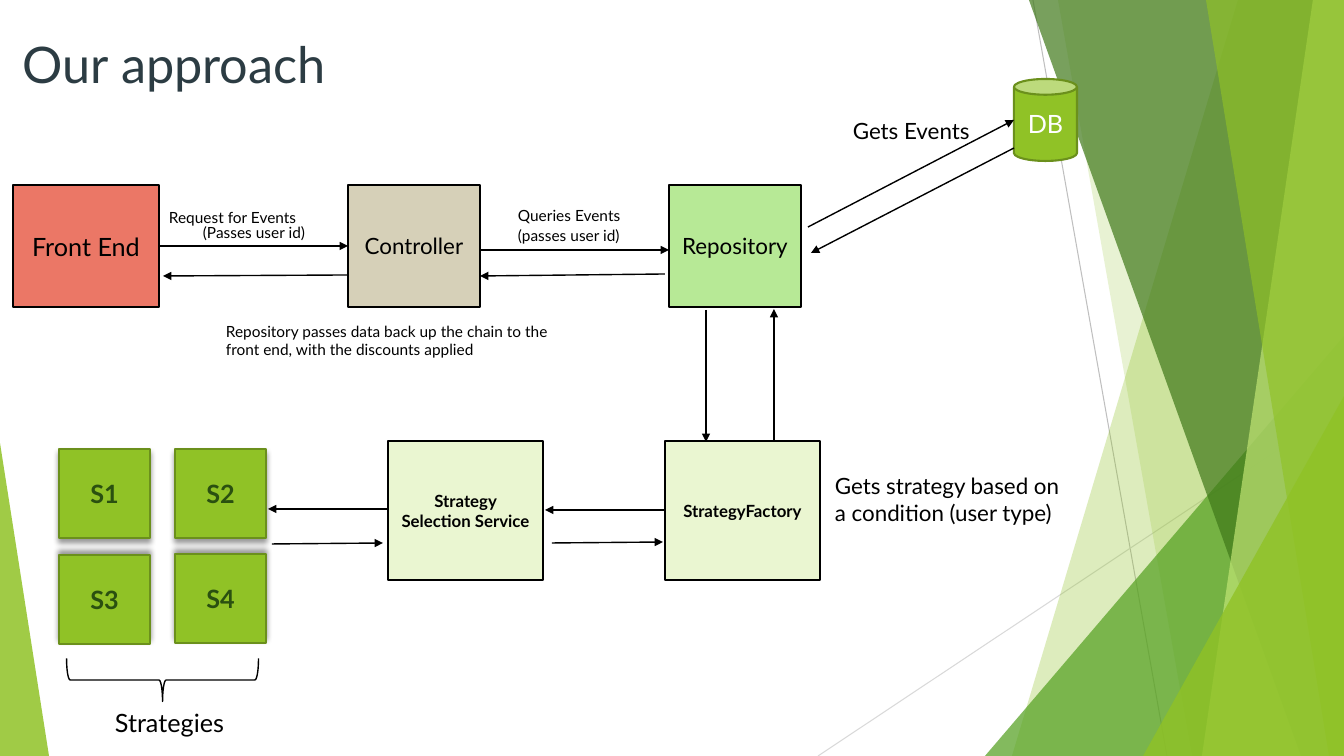
"""Build the "Our approach" architecture slide."""
from lxml.etree import SubElement
from pptx import Presentation
from pptx.dml.color import RGBColor
from pptx.enum.shapes import MSO_CONNECTOR, MSO_SHAPE
from pptx.enum.text import MSO_ANCHOR, PP_ALIGN
from pptx.oxml.ns import qn
from pptx.util import Emu, Pt

COLORS = {
    "black": "000000", "white": "FFFFFF", "title": "2C3C43",
    "green": "90C226", "dark_green": "6B901C", "forest": "3F7819",
    "leaf": "54A021", "lime": "C0E474", "strategy_text": "2A5010",
    "coral": "EB7766", "sand": "D6D0B8", "mint": "B7E996", "pale": "EAF6D1",
    "gray": "BFBFBF", "light_gray": "D9D9D9",
}


class SlideBuilder:
    """Hold the slide and its style, and draw each kind of element."""

    font_name = "Lato"
    emu_per_pixel = 914400 / 100.8

    def __init__(self, presentation):
        presentation.slide_width = self.length(1344)
        presentation.slide_height = self.length(756)
        self.shapes = presentation.slides.add_slide(presentation.slide_layouts[6]).shapes

    def length(self, pixels):
        return Emu(round(pixels * self.emu_per_pixel))

    def lengths(self, pixels):
        return [self.length(value) for value in pixels]

    def color(self, name):
        return RGBColor.from_string(COLORS[name])

    def paint(self, shape, fill, line=None, width=1.5, opacity=100):
        shape.shadow.inherit = False
        if fill:
            shape.fill.solid()
            shape.fill.fore_color.rgb = self.color(fill)
        else:
            shape.fill.background()
        if opacity < 100:
            color = shape._element.spPr.find(qn("a:solidFill"))[0]
            SubElement(color, qn("a:alpha"), val=str(opacity * 1000))
        if line:
            shape.line.color.rgb = self.color(line)
            shape.line.width = Pt(width)
        else:
            shape.line.fill.background()

    def label(self, shape, text, size, color, bold=False, align=PP_ALIGN.LEFT):
        shape.text_frame.word_wrap = True
        shape.text_frame.text = text
        paragraph = shape.text_frame.paragraphs[0]
        paragraph.alignment = align
        font = paragraph.font
        font.name, font.size, font.bold = self.font_name, Pt(size), bold
        font.color.rgb = self.color(color)

    def text(self, box, text, size, color="black"):
        self.label(self.shapes.add_textbox(*self.lengths(box)), text, size, color)

    def box(self, box, text, size, fill, line="black", color="black", bold=False,
            kind=MSO_SHAPE.RECTANGLE):
        shape = self.shapes.add_shape(kind, *self.lengths(box))
        self.paint(shape, fill, line)
        self.label(shape, text, size, color, bold, PP_ALIGN.CENTER)
        shape.text_frame.vertical_anchor = MSO_ANCHOR.MIDDLE
        return shape

    def shadow(self, shape, angle):
        effects = shape._element.spPr.find(qn("a:effectLst"))
        outer = SubElement(effects, qn("a:outerShdw"), blurRad=str(Pt(4)),
                           dist=str(Pt(3)), dir=str(angle * 60000), rotWithShape="0")
        color = SubElement(outer, qn("a:srgbClr"), val=COLORS["black"])
        SubElement(color, qn("a:alpha"), val="40000")

    def line(self, ends, color="black", width=1, arrow=False):
        connector = self.shapes.add_connector(MSO_CONNECTOR.STRAIGHT, *self.lengths(ends))
        connector.line.color.rgb = self.color(color)
        connector.line.width = Pt(width)
        properties = connector._element.spPr
        if arrow:
            SubElement(properties.find(qn("a:ln")), qn("a:tailEnd"), type="triangle")
        SubElement(properties, qn("a:effectLst"))

    def facet(self, top, bottom, fill, opacity):
        corners = [(top, 0), (1344, 0), (1344, 756), (bottom, 756)]
        start, *others = [self.lengths(corner) for corner in corners]
        builder = self.shapes.build_freeform(*start)
        builder.add_line_segments(others, close=True)
        self.paint(builder.convert_to_shape(), fill, opacity=opacity)

    def triangle(self, box, apex, fill, opacity):
        shape = self.shapes.add_shape(MSO_SHAPE.ISOSCELES_TRIANGLE, *self.lengths(box))
        shape.adjustments[0] = apex
        self.paint(shape, fill, opacity=opacity)

    def brace(self, box):
        shape = self.shapes.add_shape(MSO_SHAPE.RIGHT_BRACE, *self.lengths(box))
        shape.rotation = 90
        self.paint(shape, None, "black", 1)


presentation = Presentation()
slide = SlideBuilder(presentation)

slide.line((1033, 0, 1167, 756), "gray", 0.75)
slide.line((1344, 406, 818, 756), "light_gray", 0.75)
slide.facet(1238, 1012, "green", 30)
slide.facet(1058, 1192, "green", 20)
slide.triangle((985, 336, 359, 420), 1, "leaf", 72)
slide.facet(1029, 1301, "forest", 70)
slide.facet(1313, 1202, "lime", 70)
slide.facet(1206, 1329, "green", 65)
slide.triangle((1143, 396, 201, 360), 1, "green", 80)
slide.triangle((0, 443, 49, 313), 0, "green", 85)

slide.text((13, 28, 1159, 92), "Our approach", 36, "title")

for left, width, name, size, fill in [
    (13, 146, "Front End", 18, "coral"),
    (348, 132, "Controller", 16, "sand"),
    (669, 132, "Repository", 16, "mint"),
]:
    slide.box((left, 185, width, 122), name, size, fill)

for left, name in [(388, "Strategy Selection Service"), (665, "StrategyFactory")]:
    slide.box((left, 441, 155, 139), name, 12, "pale", bold=True)

slide.box((1014, 79, 63, 82), "DB", 18, "green", "dark_green", "white", kind=MSO_SHAPE.CAN)

for name, left, top, angle in [
    ("S4", 175, 554, 270), ("S3", 59, 555, 270), ("S1", 59, 449, 90), ("S2", 175, 449, 90),
]:
    strategy = slide.box((left, top, 91, 89), name, 18, "green", "dark_green",
                         "strategy_text", True)
    slide.shadow(strategy, angle)

slide.brace((141, 584, 43, 192))

for ends in [
    (159, 246, 348, 246), (347, 275, 163, 276),
    (480, 250, 669, 250), (665, 274, 480, 276),
    (808, 227, 1014, 120), (1014, 148, 811, 253),
    (706, 310, 706, 442), (774, 441, 774, 309),
    (665, 510, 545, 510), (552, 543, 663, 542),
    (388, 509, 268, 509), (272, 544, 383, 543),
]:
    slide.line(ends, arrow=True)

for box, label, size in [
    ((159, 203, 189, 29), "Request for Events", 11),
    ((193, 218, 144, 29), "(Passes user id)", 11),
    ((508, 201, 161, 29), "Queries Events", 11),
    ((508, 221, 144, 29), "(passes user id)", 11),
    ((843, 112, 137, 37), "Gets Events", 16),
    ((825, 467, 252, 64), "Gets strategy based on a condition (user type)", 16),
    ((216, 317, 379, 47), "Repository passes data back up the chain to the front end, "
                          "with the discounts applied", 11),
    ((105, 702, 144, 40), "Strategies", 18),
]:
    slide.text(box, label, size)

presentation.save("out.pptx")
